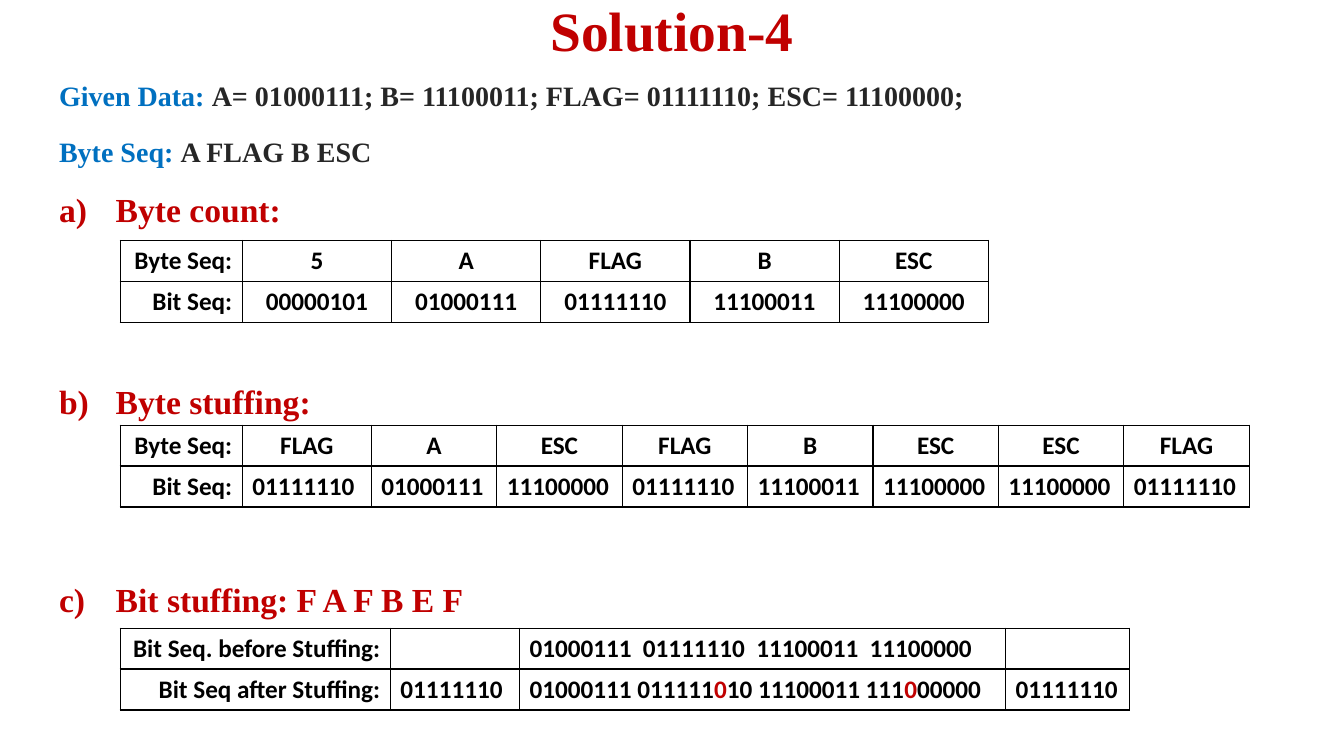
from dataclasses import dataclass

from lxml.etree import SubElement
from pptx import Presentation
from pptx.dml.color import RGBColor
from pptx.enum.text import MSO_ANCHOR, MSO_AUTO_SIZE, PP_ALIGN
from pptx.oxml.ns import qn
from pptx.util import Pt


@dataclass(frozen=True)
class Theme:
    red: str = "C00000"
    blue: str = "0070C0"
    dark: str = "262626"
    black: str = "000000"
    serif: str = "Times New Roman"
    sans: str = "Calibri"
    title: float = 39.6
    heading: float = 24
    body: float = 20
    cell: float = 18


T = Theme()
CODES = {"5": "00000101", "A": "01000111", "B": "11100011",
         "FLAG": "01111110", "ESC": "11100000"}
TABLE_LEFT = 85.9
ROW_HEIGHT = 29.2
LABEL_WIDTH = 87.2


def add_runs(p, runs, font, size):
    """Add bold (text, colour) runs to a paragraph."""
    for text, color in runs:
        r = p.add_run()
        r.text = text
        r.font.name, r.font.size, r.font.bold = font, Pt(size), True
        r.font.color.rgb = RGBColor.from_string(color)


def set_title(s, text):
    sp = s.shapes.title
    sp.left, sp.top, sp.width, sp.height = Pt(66), Pt(0), Pt(828), Pt(48)
    tf = sp.text_frame
    tf.auto_size = MSO_AUTO_SIZE.NONE
    tf.vertical_anchor = MSO_ANCHOR.MIDDLE
    p = tf.paragraphs[0]
    p.alignment, p.line_spacing = PP_ALIGN.CENTER, 0.9
    add_runs(p, [(text, T.red)], T.serif, T.title)


def number_paragraph(p):
    """Give a paragraph a hanging a), b), c) number."""
    pPr = p._p.get_or_add_pPr()
    pPr.set("marL", str(Pt(40.5)))
    pPr.set("indent", str(-Pt(40.5)))
    SubElement(pPr, qn("a:buFont"), typeface="+mj-lt")
    SubElement(pPr, qn("a:buAutoNum"), type="alphaLcParenR")


def add_body(s, lines):
    """Add (runs, size, space before, numbered) lines in one text box."""
    sp = s.shapes.add_textbox(Pt(35.1), Pt(55.4), Pt(828), Pt(409))
    tf = sp.text_frame
    tf.word_wrap = True
    for i, (runs, size, before, numbered) in enumerate(lines):
        p = tf.add_paragraph() if i else tf.paragraphs[0]
        if numbered:
            number_paragraph(p)
        p.line_spacing, p.space_before, p.space_after = 0.9, Pt(before), Pt(8)
        add_runs(p, runs, T.serif, size)


def style_cell(cell):
    """Draw thin black borders round a cell without fill."""
    tcPr = cell._tc.get_or_add_tcPr()
    for side in ("lnL", "lnR", "lnT", "lnB"):
        ln = SubElement(tcPr, qn(f"a:{side}"), w=str(Pt(1)))
        fill = SubElement(ln, qn("a:solidFill"))
        SubElement(fill, qn("a:srgbClr"), val=T.black)
    cell.fill.background()


def add_grid(s, top, widths, rows, aligns):
    """Add a table; a cell is a string or a list of runs, aligns go by row."""
    frame = s.shapes.add_table(len(rows), len(widths), Pt(TABLE_LEFT), Pt(top),
                               Pt(sum(widths)), Pt(ROW_HEIGHT * len(rows)))
    table = frame.table
    table.first_row = table.horz_banding = False
    for column, width in zip(table.columns, widths):
        column.width = Pt(width)
    for i, row in enumerate(rows):
        table.rows[i].height = Pt(ROW_HEIGHT)
        for j, content in enumerate(row):
            cell = table.cell(i, j)
            style_cell(cell)
            p = cell.text_frame.paragraphs[0]
            p.alignment = aligns[i] if j else PP_ALIGN.RIGHT
            runs = [(content, T.black)] if isinstance(content, str) else content
            if content:
                add_runs(p, runs, T.sans, T.cell)


def add_byte_table(s, top, widths, names, bit_align):
    """Add a table of byte names over their bit patterns."""
    rows = [["Byte Seq:", *names],
            ["Bit Seq:", *(CODES[name] for name in names)]]
    add_grid(s, top, [LABEL_WIDTH, *widths], rows, [PP_ALIGN.CENTER, bit_align])


def main():
    prs = Presentation()
    prs.slide_width, prs.slide_height = Pt(960), Pt(540)
    s = prs.slides.add_slide(prs.slide_layouts[5])

    # Title, given data and section headings
    set_title(s, "Solution-4")
    given = "A= 01000111; B= 11100011; FLAG= 01111110; ESC= 11100000;"
    add_body(s, [
        ([("Given Data: ", T.blue), (given, T.dark)], T.body, 0, False),
        ([("Byte Seq: ", T.blue), ("A FLAG B ESC", T.dark)], T.body, 10, False),
        ([("Byte count:", T.red)], T.heading, 10, True),
        ([("Byte stuffing:", T.red)], T.heading, 103, True),
        ([("Bit stuffing: F A F B E F", T.red)], T.heading, 108, True),
    ])

    # Byte count and byte stuffing
    add_byte_table(s, 171.8, [106.6] * 5, ["5", "A", "FLAG", "B", "ESC"],
                   PP_ALIGN.CENTER)
    add_byte_table(s, 303.7, [92.2] + [89.6] * 7,
                   ["FLAG", "A", "ESC", "FLAG", "B", "ESC", "ESC", "FLAG"],
                   PP_ALIGN.LEFT)

    # Bit stuffing, with the stuffed zeros in red
    stuffed = [("01000111 011111", T.black), ("0", T.red),
               ("10 11100011 111", T.black), ("0", T.red), ("00000", T.black)]
    flag = CODES["FLAG"]
    before = "01000111  01111110  11100011  11100000"
    add_grid(s, 448.7, [193, 92.2, 347.3, 88.2],
             [["Bit Seq. before Stuffing:", "", before, ""],
              ["Bit Seq after Stuffing:", flag, stuffed, flag]],
             [PP_ALIGN.LEFT, PP_ALIGN.LEFT])

    prs.save("out.pptx")


if __name__ == "__main__":
    main()
